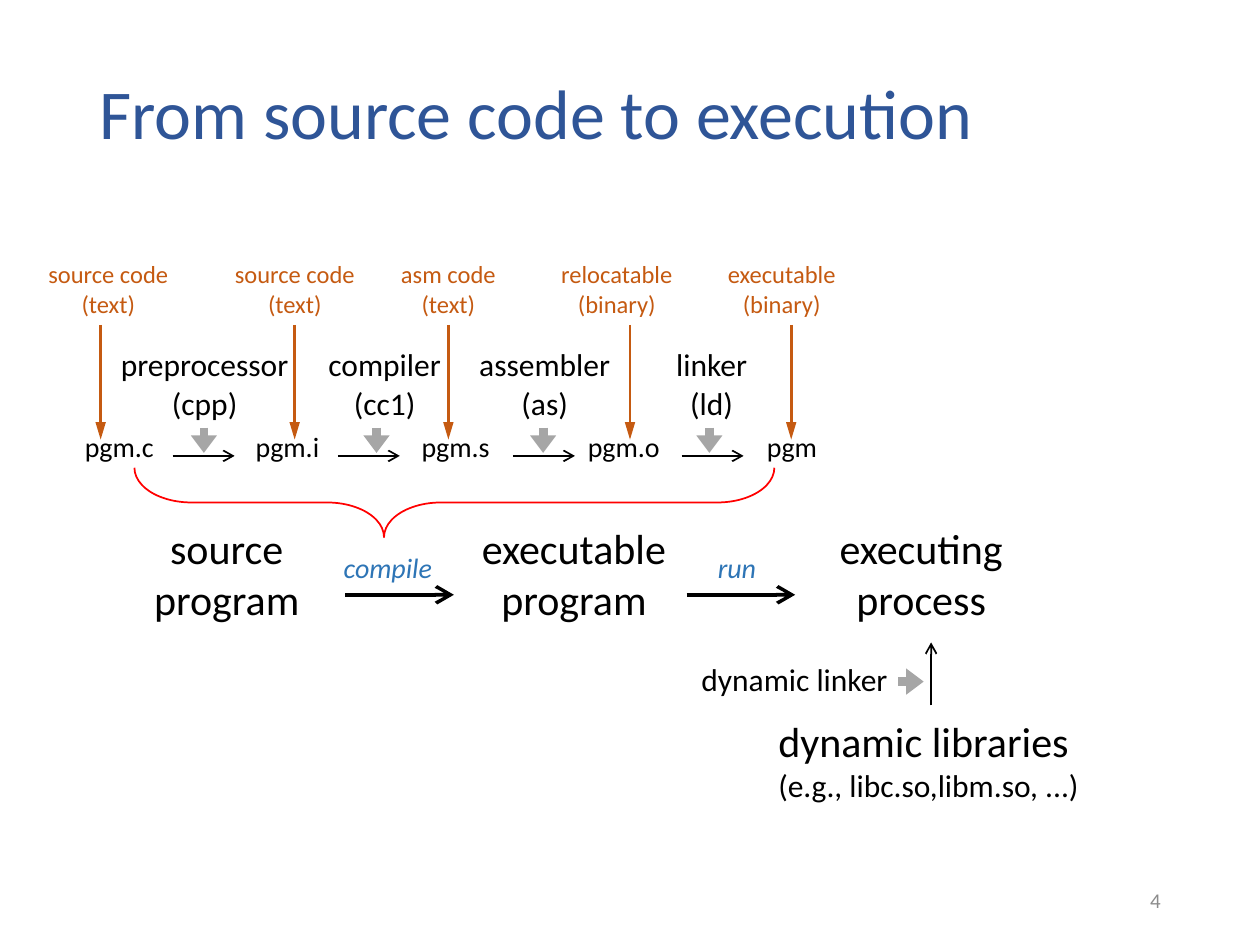
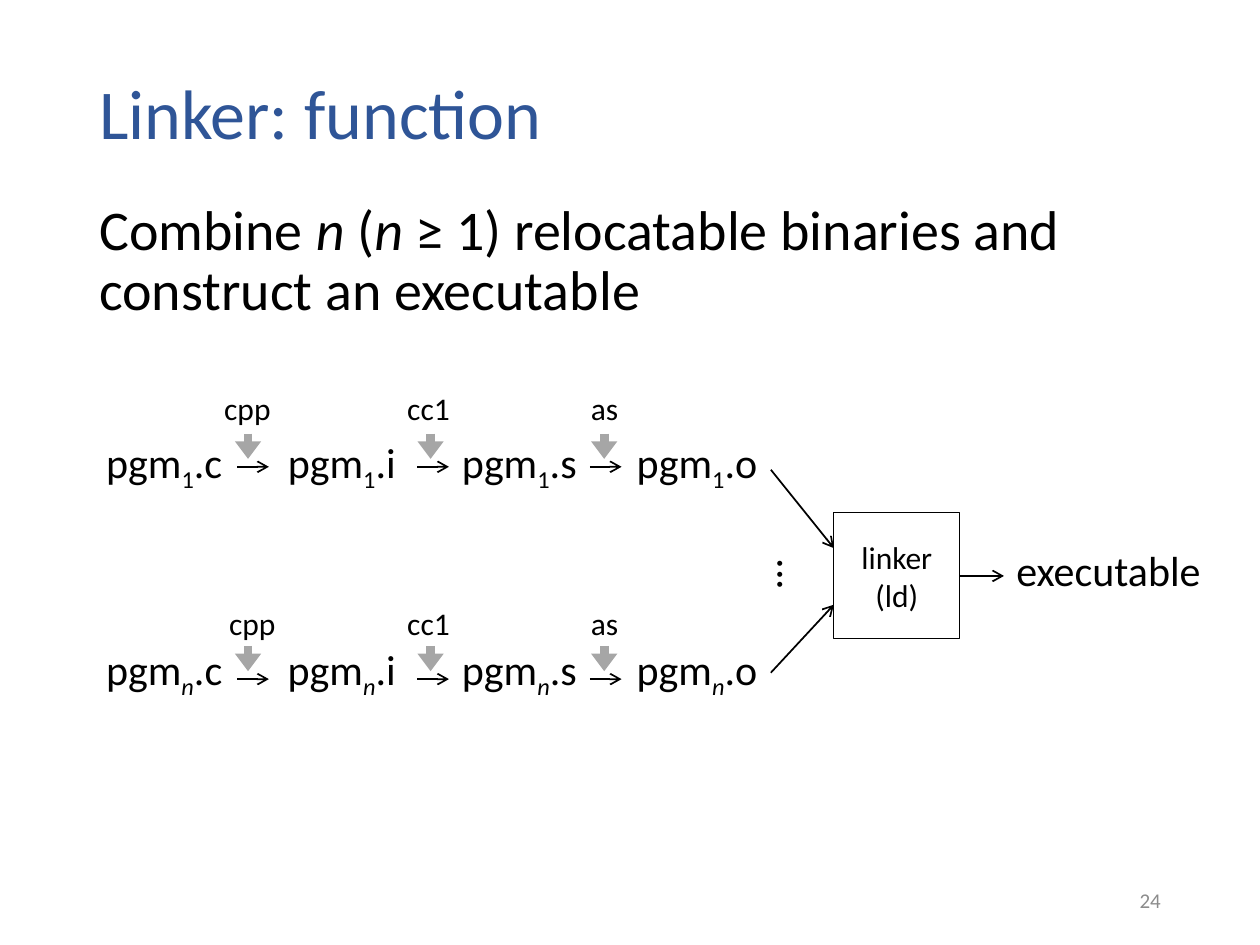
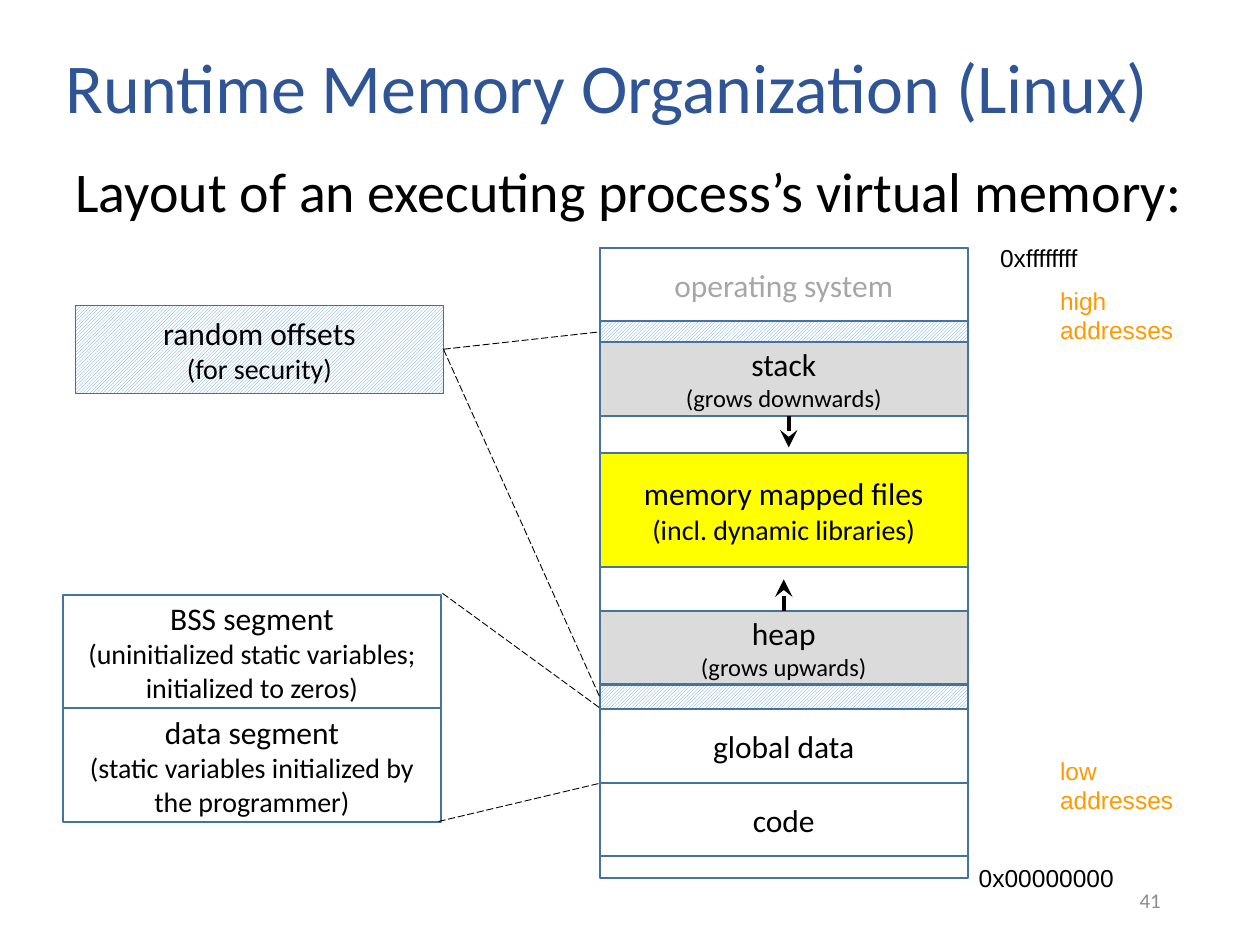
from itertools import accumulate

from lxml.etree import SubElement as sub
from pptx import Presentation
from pptx.dml.color import RGBColor as RGB
from pptx.enum.dml import MSO_LINE as Dash, MSO_PATTERN as Pat
from pptx.enum.shapes import MSO_CONNECTOR as Conn, MSO_SHAPE as Kind
from pptx.enum.text import MSO_ANCHOR as Anchor, PP_ALIGN as Align
from pptx.oxml.ns import qn
from pptx.util import Cm, Pt

BLACK, GREY, ORANGE, RED = "000000", "A6A6A6", "C55A11", "FF0000"
NAVY, STEEL, BLUE, SKY = "2F5597", "43739E", "2E75B6", "5B9BD5"
AMBER, PALE, YELLOW, DIM = "FF9900", "DBDBDB", "FFFF00", "8C8C8C"
HATCH = "hatch"
PLAIN = "{2D5ABB26-0587-4C30-8999-92F81FD0307C}"
LEFT, MID, RIGHT = Align.LEFT, Align.CENTER, Align.RIGHT


def rgb(code):
    return RGB.from_string(code)


def cms(*sizes):
    return [Cm(size) for size in sizes]


def write(frame, lines, size, color=BLACK, align=LEFT, small=None,
          font="Calibri", space=None):
    for i, line in enumerate(lines):
        para = frame.paragraphs[0] if i == 0 else frame.add_paragraph()
        para.alignment = align
        para.line_spacing = space
        parts = [(line, "")] if isinstance(line, str) else line
        for text, style in parts:
            run = para.add_run()
            run.text = text
            run.font.name = font
            run.font.size = Pt(small if small and i else size)
            run.font.color.rgb = rgb(color)
            if "i" in style:
                run.font.italic = True
            if "s" in style:
                run._r.get_or_add_rPr().set("baseline", "-25000")


def label(slide, place, lines, size, wrap=False, anchor=Anchor.TOP, **look):
    box = slide.shapes.add_textbox(*cms(*place))
    box.text_frame.word_wrap = wrap
    box.text_frame.vertical_anchor = anchor
    write(box.text_frame, lines, size, **look)
    return box


def title(slide, text, place=(1.75, 1.02, 21.9, 2.67)):
    label(slide, place, [text], 40, True, Anchor.MIDDLE, color=NAVY, space=0.9)


def body(slide, place, line):
    label(slide, place, [line], 32, True, space=0.9)


def number(slide, page):
    label(slide, (17.94, 17.65, 5.71, 1.01), [str(page)], 12, True,
          Anchor.MIDDLE, color=DIM, align=RIGHT)


def shape(slide, kind, place, line=None, width=1.25, fill=None):
    item = slide.shapes.add_shape(kind, *cms(*place))
    item.shadow.inherit = False
    if fill == HATCH:
        item.fill.patterned()
        item.fill.pattern = Pat.LIGHT_UPWARD_DIAGONAL
        item.fill.fore_color.rgb = rgb(SKY)
        item.fill.back_color.rgb = rgb("FFFFFF")
    elif fill:
        item.fill.solid()
        item.fill.fore_color.rgb = rgb(fill)
    else:
        item.fill.background()
    if line:
        item.line.color.rgb = rgb(line)
        item.line.width = Pt(width)
    else:
        item.line.fill.background()
    return item


def block(slide, place, lines, line=STEEL, width=1.25, fill=None,
          color=BLACK, small=16):
    item = shape(slide, Kind.RECTANGLE, place, line, width, fill)
    item.text_frame.vertical_anchor = Anchor.MIDDLE
    write(item.text_frame, lines, 18, color, MID, small)
    return item


def link(slide, start, end, color=BLACK, width=1, head="arrow",
         broad="med", long="med"):
    line = slide.shapes.add_connector(Conn.STRAIGHT, *cms(*start, *end))
    line.line.color.rgb = rgb(color)
    line.line.width = Pt(width)
    if head:
        sub(line.line._get_or_add_ln(), qn("a:tailEnd"), type=head,
            w=broad, len=long)
    else:
        line.line.dash_style = Dash.LONG_DASH
    sub(line._element.spPr, qn("a:effectLst"))
    return line


def lead(slide, start, end):
    return link(slide, start, end, BLACK, 0.5, None)


def flow(slide, x, y, length, width=1, head="med"):
    link(slide, (x, y), (x + length, y), BLACK, width, "arrow", head, head)


def hint(slide, start, end):
    link(slide, start, end, GREY, 5, "triangle", long="sm")


def drop(slide, x, y):
    hint(slide, (x, y), (x, y + 0.51))


def grow(slide, start, end):
    return link(slide, start, end, BLACK, 2, "stealth", "lg", "lg")


def row(slide, x, y, widths, height, cells, size):
    place = cms(x, y, sum(widths), height)
    table = slide.shapes.add_table(1, len(cells), *place).table
    table.first_row = table.horz_banding = False
    table._tbl.tblPr.find(qn("a:tableStyleId")).text = PLAIN
    for i, lines in enumerate(cells):
        table.columns[i].width = Cm(widths[i])
        cell = table.cell(0, i)
        cell.fill.background()
        write(cell.text_frame, lines, size, align=MID)


def source(slide):
    title(slide, "From source code to execution")
    row(slide, 1.07, 10.44, [7] * 3, 2.29,
        [("source", "program"), ("executable", "program"),
         ("executing", "process")], 24)
    number(slide, 4)
    for x, left, wide, verb in ((6.96, 6.68, 2.49, "compile"),
                                (13.84, 14.22, 1.4, "run")):
        flow(slide, x, 11.99, 2.19, 2, "lg")
        label(slide, (left, 10.97, wide, 0.94), [[(verb, "i")]], 16, color=BLUE)

    files = ("pgm.c", "pgm.i", "pgm.s", "pgm.o", "pgm")
    row(slide, 0.71, 8.56, [3.39] * 5, 1.04, [[name] for name in files], 16)
    row(slide, 2.03, 6.86, [4.19, 3.07, 3.38, 3.35], 1.78,
        [("preprocessor", "(cpp)"), ("compiler", "(cc1)"),
         ("assembler", "(as)"), ("linker", "(ld)")], 18)
    for x, tool in ((3.48, 4.11), (6.81, 7.59), (10.34, 10.95), (13.74, 14.3)):
        flow(slide, x, 9.19, 1.25)
        drop(slide, tool, 8.62)

    brace = shape(slide, Kind.RIGHT_BRACE, (8.46, 3.68, 1.4, 12.9), RED, 1)
    brace.rotation = 90
    brace.adjustments[0] = 0.82
    brace.adjustments[1] = 0.61

    notes = ((0.71, 2.95, "source code", "(text)", 2.03),
             (4.47, 2.95, "source code", "(text)", 5.94),
             (7.82, 2.44, "asm code", "(text)", 9.04),
             (11.05, 2.77, "relocatable", "(binary)", 12.7),
             (14.4, 2.72, "executable", "(binary)", 15.95))
    for left, wide, name, form, x in notes:
        label(slide, (left, 5.1, wide, 1.45), (name, form), 14,
              color=ORANGE, align=MID)
        link(slide, (x, 6.55), (x, 8.86), ORANGE, 1.5, "triangle", long="lg")

    label(slide, (15.44, 14.3, 6.63, 2.06),
          ("dynamic libraries", "(e.g., libc.so,libm.so, ...)"), 24, small=18)
    link(slide, (18.77, 14.22), (18.77, 12.95))
    hint(slide, (18.11, 13.74), (18.62, 13.74))
    label(slide, (13.89, 13.18, 4.32, 1.02), ["dynamic linker"], 18)


def chain(slide, mark, style, top, mid, tip, head, first):
    cells = [[[("pgm", ""), (mark, style), (end, "")]]
             for end in (".c", ".i", ".s", ".o")]
    row(slide, 1.52, top, [3.58] * 4, 1.27, cells, 24)
    steps = ((4.78, 5, first, 1.47, "cpp"), (8.41, 8.68, 7.96, 1.37, "cc1"),
             (11.89, 12.18, 11.66, 1.07, "as"))
    for x, tool, left, wide, name in steps:
        flow(slide, x, mid, 0.64)
        drop(slide, tool, tip)
        label(slide, (left, head, wide, 1.02), [name], 18)


def linker(slide):
    title(slide, "Linker: function")
    body(slide, (1.75, 3.94, 21.9, 3.25),
         [("Combine ", ""), ("n", "i"), (" (", ""), ("n", "i"),
          (" ≥ 1) relocatable binaries and construct an executable", "")])
    number(slide, 24)
    chain(slide, "1", "s", 8.71, 9.41, 8.74, 7.72, 4.27)
    chain(slide, "n", "is", 12.88, 13.69, 13.02, 12.06, 4.37)
    link(slide, (15.54, 9.47), (16.81, 11.05))
    link(slide, (15.54, 13.56), (16.81, 12.19))
    tool = block(slide, (16.81, 10.34, 2.54, 2.54), ("linker", "(ld)"),
                 BLACK, 0.5, small=18)
    link(slide, (19.35, 11.61), (20.24, 11.61)).begin_connect(tool, 3)
    label(slide, (20.24, 10.85, 4.27, 1.27), ["executable"], 24)
    dots = label(slide, (15.01, 10.95, 2, 1.27), ["..."], 24, True, align=MID)
    dots.rotation = 90


def memory(slide):
    title(slide, "Runtime Memory Organization (Linux)", (1.07, 0.84, 23.93, 1.98))
    body(slide, (1.27, 3.18, 22.86, 1.47),
         "Layout of an executing process’s virtual memory:")
    number(slide, 41)

    left, wide, top = 12.09, 7.42, 5
    zones = ((1.48, ["operating system"], None),
             (0.42, [], HATCH),
             (1.48, ["stack", "(grows downwards)"], PALE),
             (0.76, [], None),
             (2.29, ["memory mapped files", "(incl. dynamic libraries)"], YELLOW),
             (0.89, [], None),
             (1.48, ["heap", "(grows upwards)"], PALE),
             (0.5, [], HATCH),
             (1.48, ["global data"], None),
             (1.48, ["code"], None))
    tops = list(accumulate((zone[0] for zone in zones), initial=top))
    rooms = [(left, y, wide, zone[0]) for y, zone in zip(tops, zones)]
    strips = [shape(slide, Kind.RECTANGLE, room, fill=HATCH)
              for room, zone in zip(rooms, zones) if zone[2] == HATCH]
    shape(slide, Kind.RECTANGLE, (left, top, wide, 12.7), STEEL)
    parts = {}
    for room, (_, lines, fill) in zip(rooms, zones):
        if lines:
            name = lines[0]
            color = GREY if name == "operating system" else BLACK
            small = 14 if fill == PALE else 16
            parts[name] = block(slide, room, lines, fill=fill, color=color,
                                small=small)

    grow(slide, (15.9, 8.38), (15.9, 9.02))
    rise = grow(slide, (15.8, 12.32), (15.8, 11.68))
    rise.begin_connect(parts["heap"], 0)

    for x, y, w, h, lines, color in (
            (21.12, 5.64, 2.79, 1.45, ("high", "addresses"), AMBER),
            (21.12, 15.11, 2.79, 1.45, ("low", "addresses"), AMBER),
            (19.91, 4.78, 2.08, 0.86, ["0xffffffff"], BLACK),
            (19.48, 17.27, 3.25, 0.86, ["0x00000000"], BLACK)):
        label(slide, (x, y, w, h), lines, 14, color=color, font="Arial")

    block(slide, (1.27, 14.28, 7.62, 2.29),
          ("data segment", "(static variables initialized by the programmer)"))
    block(slide, (1.27, 11.99, 7.62, 2.29),
          ("BSS segment", "(uninitialized static variables; initialized to zeros)"))
    lead(slide, (8.84, 16.56), (left, 15.79))
    lead(slide, (8.92, 11.96), (left, 14.27))
    gap = block(slide, (1.52, 6.15, wide, 1.78),
                ("random offsets", "(for security)"), BLUE, 0.25, HATCH)
    for strip in strips:
        line = lead(slide, (8.94, 7.04), (left, 7.04))
        line.begin_connect(gap, 3)
        line.end_connect(strip, 1)


def main():
    deck = Presentation()
    deck.slide_width, deck.slide_height = cms(25.4, 19.05)
    for build in (source, linker, memory):
        build(deck.slides.add_slide(deck.slide_layouts[6]))
    deck.save("out.pptx")


if __name__ == "__main__":
    main()
